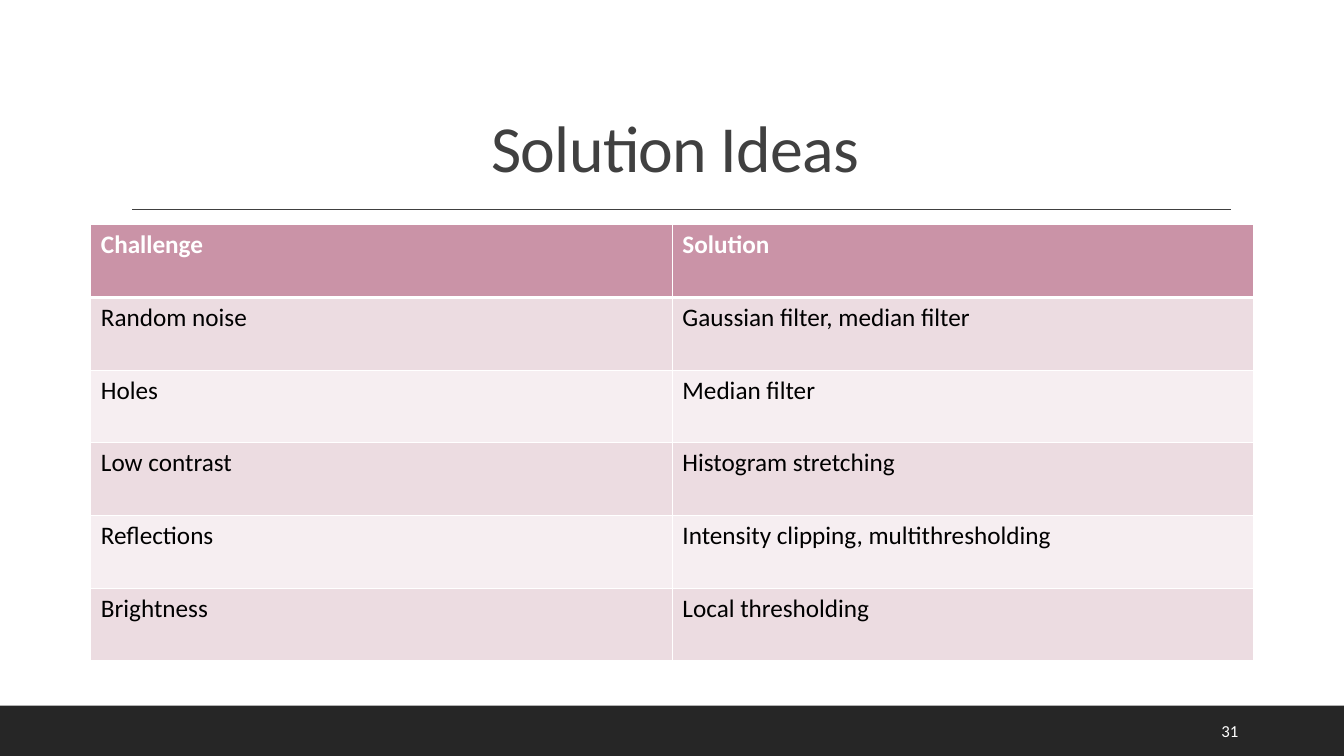
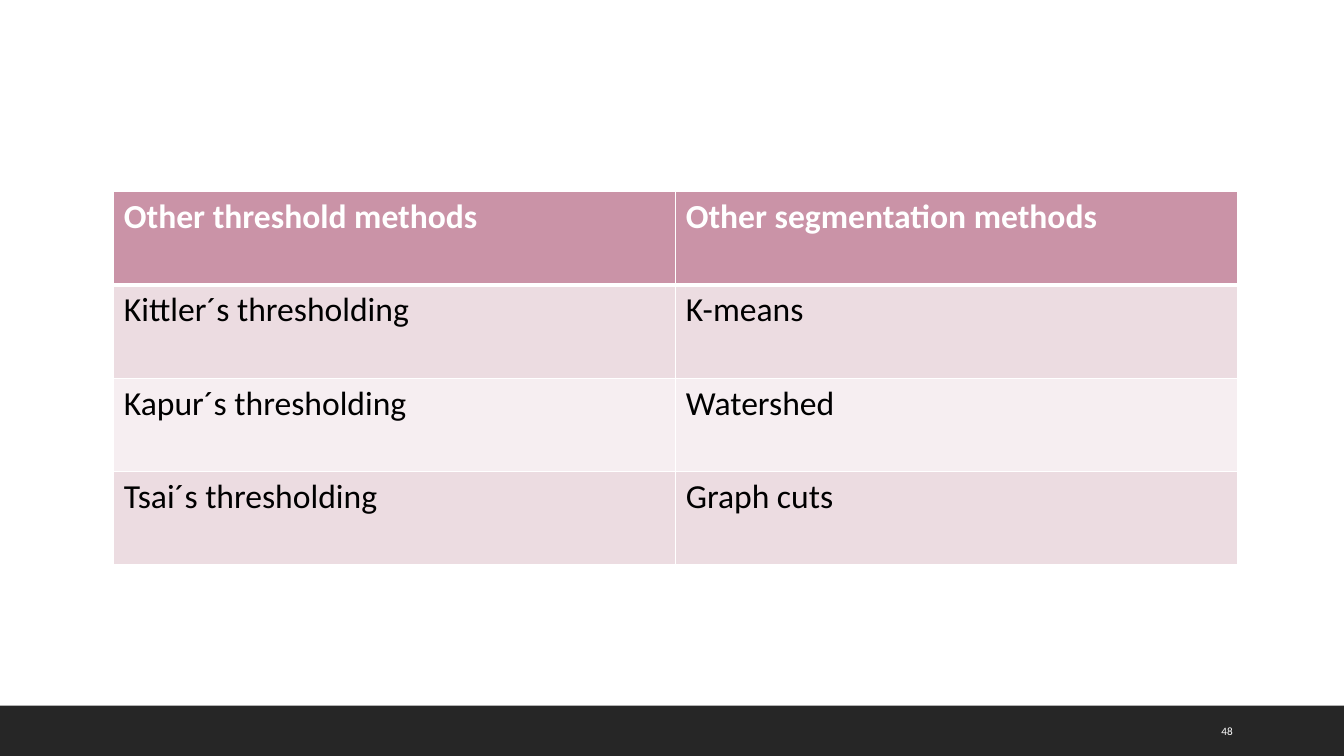
from dataclasses import dataclass

from pptx import Presentation
from pptx.dml.color import RGBColor
from pptx.enum.shapes import MSO_CONNECTOR, MSO_SHAPE
from pptx.enum.text import MSO_ANCHOR, MSO_AUTO_SIZE, PP_ALIGN
from pptx.oxml import parse_xml
from pptx.oxml.ns import nsdecls
from pptx.util import Cm, Pt


@dataclass(frozen=True)
class Theme:
    font: str = "Calibri"
    white: str = "FFFFFF"
    black: str = "000000"
    title: str = "404040"
    band: str = "262626"
    header: str = "CA93A7"
    odd_row: str = "ECDCE1"
    even_row: str = "F6EEF1"
    title_size: int = 47
    border: int = 1
    header_border: int = 3


THEME = Theme()


def write_text(frame, text, size, color, bold=False, align=PP_ALIGN.LEFT,
               anchor=MSO_ANCHOR.TOP, line_spacing=None, tracking=None):
    """Fill a text frame or table cell with one formatted paragraph."""
    frame.vertical_anchor = anchor
    paragraph = getattr(frame, "text_frame", frame).paragraphs[0]
    paragraph.alignment = align
    paragraph.line_spacing = line_spacing
    run = paragraph.add_run()
    run.text = text
    run.font.name = THEME.font
    run.font.size = Pt(size)
    run.font.bold = bold
    run.font.color.rgb = RGBColor.from_string(color)
    if tracking is not None:
        run.font._element.set("spc", str(round(tracking * 100)))


def add_borders(cell, top, bottom):
    """Draw the four white borders of a cell; widths are in points."""
    widths = {"lnL": THEME.border, "lnR": THEME.border, "lnT": top, "lnB": bottom}
    properties = cell._tc.get_or_add_tcPr()
    for side, width in widths.items():
        properties.append(parse_xml(
            f'<a:{side} {nsdecls("a")} w="{Pt(width)}"><a:solidFill>'
            f'<a:srgbClr val="{THEME.white}"/></a:solidFill></a:{side}>'))


SLIDES = [
    {
        "title": "Solution Ideas",
        "number": "31", "number_size": 12,
        "table_at": (2.29, 5.66, 29.31, 11.0), "table_size": 18,
        "rows": [
            ("Challenge", "Solution"),
            ("Random noise", "Gaussian filter, median filter"),
            ("Holes", "Median filter"),
            ("Low contrast", "Histogram stretching"),
            ("Reflections", "Intensity clipping, multithresholding"),
            ("Brightness", "Local thresholding"),
        ],
    },
    {
        "title": None,
        "number": "48", "number_size": 8,
        "table_at": (2.87, 4.83, 28.32, 9.4), "table_size": 24,
        "rows": [
            ("Other threshold methods", "Other segmentation methods"),
            ("Kittler´s thresholding", "K-means"),
            ("Kapur´s thresholding", "Watershed"),
            ("Tsai´s thresholding", "Graph cuts"),
        ],
    },
]

presentation = Presentation()
presentation.slide_width = Cm(33.87)
presentation.slide_height = Cm(19.05)
title_layout = presentation.slide_layouts[5]
blank_layout = presentation.slide_layouts[6]

for index, content in enumerate(SLIDES):
    slide = presentation.slides.add_slide(
        title_layout if content["title"] else blank_layout)

    # Shared parts: the band goes to the master, the rule to the title layout
    if index == 0:
        band = slide.shapes.add_shape(
            MSO_SHAPE.RECTANGLE, 0, Cm(17.78), presentation.slide_width, Cm(1.27))
        band.shadow.inherit = False
        band.fill.solid()
        band.fill.fore_color.rgb = RGBColor.from_string(THEME.band)
        band.line.fill.background()
        rule = slide.shapes.add_connector(
            MSO_CONNECTOR.STRAIGHT, Cm(3.33), Cm(5.28), Cm(31.01), Cm(5.28))
        rule.line.color.rgb = RGBColor.from_string(THEME.title)
        rule.line.width = Pt(1)
        rule.element.spPr.append(parse_xml(f'<a:effectLst {nsdecls("a")}/>'))
        for shape, owner, shape_id in ((band, presentation.slide_master, 101),
                                       (rule, title_layout, 102)):
            shape.element.xpath(".//p:cNvPr")[0].set("id", str(shape_id))
            owner.shapes.element.append(shape.element)

    # Title
    if content["title"]:
        title = slide.shapes.title
        title.left, title.top = Cm(3.05), Cm(0.79)
        title.width, title.height = Cm(27.94), Cm(4.04)
        title.text_frame.auto_size = MSO_AUTO_SIZE.NONE
        write_text(title.text_frame, content["title"], size=THEME.title_size,
                   color=THEME.title, align=PP_ALIGN.CENTER,
                   anchor=MSO_ANCHOR.BOTTOM, line_spacing=0.9, tracking=-0.5)

    # Table with a header row and alternating body rows
    rows = content["rows"]
    table = slide.shapes.add_table(
        len(rows), len(rows[0]), *map(Cm, content["table_at"])).table
    for row_index, row in enumerate(rows):
        is_header = row_index == 0
        if is_header:
            fill_color = THEME.header
        else:
            fill_color = THEME.odd_row if row_index % 2 else THEME.even_row
        for column_index, text in enumerate(row):
            cell = table.cell(row_index, column_index)
            add_borders(
                cell,
                top=THEME.header_border if row_index == 1 else THEME.border,
                bottom=THEME.header_border if is_header else THEME.border)
            cell.fill.solid()
            cell.fill.fore_color.rgb = RGBColor.from_string(fill_color)
            write_text(cell, text, size=content["table_size"], bold=is_header,
                       color=THEME.white if is_header else THEME.black)

    # Slide number
    number = slide.shapes.add_textbox(Cm(30.53), Cm(17.91), Cm(2.16), Cm(1.02))
    number.text_frame.word_wrap = True
    write_text(number.text_frame, content["number"], size=content["number_size"],
               color=THEME.white, anchor=MSO_ANCHOR.MIDDLE)

presentation.save("out.pptx")
